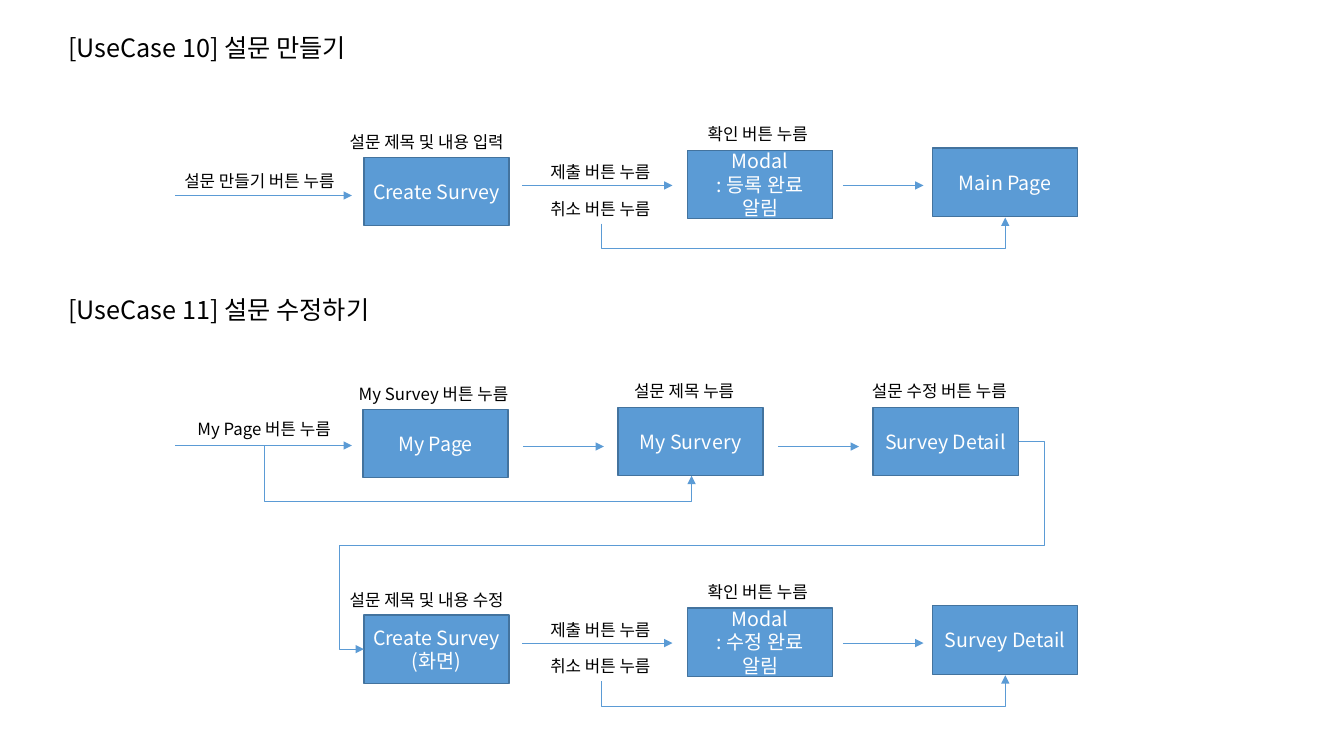
from lxml import etree
from pptx import Presentation
from pptx.dml.color import RGBColor
from pptx.enum.shapes import MSO_CONNECTOR, MSO_SHAPE
from pptx.enum.text import MSO_ANCHOR, MSO_AUTO_SIZE, PP_ALIGN
from pptx.oxml.ns import qn
from pptx.util import Inches, Pt

STRAIGHT, ELBOW = MSO_CONNECTOR.STRAIGHT, MSO_CONNECTOR.ELBOW
RECTANGLE = MSO_SHAPE.RECTANGLE
MIDDLE = MSO_ANCHOR.MIDDLE
FIT_SHAPE = MSO_AUTO_SIZE.SHAPE_TO_FIT_TEXT
LEFT, CENTER = PP_ALIGN.LEFT, PP_ALIGN.CENTER
FONT = "Noto Sans CJK KR"
BLUE, DARK_BLUE, BLACK, WHITE = "5B9BD5", "43739E", "000000", "FFFFFF"
PAGE_WIDTH, PAGE_HEIGHT = 1.44, 0.68
LABEL_HEIGHT = 0.3


def color(value):
    """Turn a hex string into a colour."""
    return RGBColor.from_string(value)


def write(frame, lines, size, text_color, alignment):
    """Fill a text frame with one paragraph per line."""
    frame.text = "\n".join(lines)
    for paragraph in frame.paragraphs:
        paragraph.alignment = alignment
        font = paragraph.font
        font.size = Pt(size)
        font.name = FONT
        font.color.rgb = color(text_color)
        latin = paragraph._p.pPr.find(".//" + qn("a:latin"))
        east_asian = etree.Element(qn("a:ea"), typeface=FONT)
        latin.addnext(east_asian)


def add_label(shapes, left, top, width, text, alignment=LEFT, size=12,
              height=LABEL_HEIGHT, wrap=False):
    """Add a plain text label."""
    box = shapes.add_textbox(Inches(left), Inches(top), Inches(width), Inches(height))
    write(box.text_frame, [text], size, BLACK, alignment)
    box.text_frame.word_wrap = wrap
    box.text_frame.auto_size = FIT_SHAPE


def add_page(shapes, left, top, *lines, wrap=False):
    """Add a blue box that stands for a page."""
    page = shapes.add_shape(RECTANGLE, Inches(left), Inches(top),
                            Inches(PAGE_WIDTH), Inches(PAGE_HEIGHT))
    page.shadow.inherit = False
    page.fill.solid()
    page.fill.fore_color.rgb = color(BLUE)
    page.line.color.rgb = color(DARK_BLUE)
    page.line.width = Pt(1)
    frame = page.text_frame
    write(frame, lines, 14, WHITE, CENTER)
    frame.vertical_anchor = MIDDLE
    frame.word_wrap = wrap


def add_arrow(shapes, kind, start_x, start_y, end_x, end_y):
    """Add a thin blue arrow and return it."""
    arrow = shapes.add_connector(kind, Inches(start_x), Inches(start_y),
                                 Inches(end_x), Inches(end_y))
    arrow.line.color.rgb = color(BLUE)
    arrow.line.width = Pt(0.5)
    etree.SubElement(arrow.line._get_or_add_ln(), qn("a:tailEnd"), type="triangle")
    etree.SubElement(arrow._element.spPr, qn("a:effectLst"))
    return arrow


def add_straight(shapes, left, y, right):
    """Add a level arrow."""
    add_arrow(shapes, STRAIGHT, left, y, right, y)


def set_bends(arrow, preset, bends):
    """Set the elbow type of an arrow and its bends as fractions of its span."""
    geometry = arrow._element.spPr.find(qn("a:prstGeom"))
    geometry.set("prst", preset)
    guides = geometry.get_or_add_avLst()
    for number, bend in enumerate(bends, 1):
        etree.SubElement(guides, qn("a:gd"), name=f"adj{number}",
                         fmla=f"val {round(bend * 100000)}")


def add_detour(shapes, start_x, start_y, end_x, end_y, floor):
    """Add an arrow that drops to a floor, runs right and rises to its end."""
    half_width, half_height = abs(end_y - start_y) / 2, (end_x - start_x) / 2
    center_x, center_y = (start_x + end_x) / 2, (start_y + end_y) / 2
    arrow = add_arrow(shapes, ELBOW, center_x - half_width, center_y - half_height,
                      center_x + half_width, center_y + half_height)
    rising = end_y < start_y
    transform = arrow._element.spPr.find(qn("a:xfrm"))
    transform.set("rot", str((90 if rising else 270) * 60000))
    transform.set("flipH", "1")
    if rising:
        transform.set("flipV", "1")
    set_bends(arrow, "bentConnector3", [(floor - start_y) / (end_y - start_y)])


def add_submit_flow(shapes, left, top, caption, form_lines, notice, last_page):
    """Add the row of form, notice and last page, with its cancel detour."""
    add_label(shapes, left, top + 0.08, 2.06, caption, wrap=True)
    add_page(shapes, left + 0.24, top + 0.38, *form_lines)
    add_label(shapes, left + 1.92, top + 0.38, 1.33, "제출 버튼 누름", CENTER)
    add_label(shapes, left + 1.92, top + 0.74, 1.33, "취소 버튼 누름", CENTER)
    add_straight(shapes, left + 1.81, top + 0.66, left + 3.3)
    add_label(shapes, left + 3.55, top, 1.33, "확인 버튼 누름")
    add_page(shapes, left + 3.45, top + 0.31, "Modal", notice, wrap=True)
    add_straight(shapes, left + 4.99, top + 0.66, left + 5.79)
    add_page(shapes, left + 5.88, top + 0.29, last_page)
    add_detour(shapes, left + 2.59, top + 1.04, left + 6.6, top + 0.98, top + 1.29)


def add_my_page_flow(shapes, left, top):
    """Add the row that leads from my page to the survey detail."""
    add_straight(shapes, left, top + 0.69, left + 1.75)
    add_label(shapes, left + 0.05, top + 0.38, 1.66, "My Page 버튼 누름", CENTER)
    add_label(shapes, left + 1.72, top + 0.03, 2.06, "My Survey 버튼 누름", wrap=True)
    add_page(shapes, left + 1.86, top + 0.33, "My Page")
    add_label(shapes, left + 4.45, top, 1.33, "설문 제목 누름")
    add_label(shapes, left + 6.81, top, 1.73, "설문 수정 버튼 누름")
    for offset, name in ((4.39, "My Survery"), (6.92, "Survey Detail")):
        add_straight(shapes, left + offset - 0.94, top + 0.7, left + offset - 0.14)
        add_page(shapes, left + offset, top + 0.31, name)
    add_detour(shapes, left + 0.88, top + 0.69, left + 5.12, top + 0.99, top + 1.24)


def add_use_case_10(shapes, left, top):
    """Add the use case of making a survey."""
    add_label(shapes, left, top, 3.04, "[UseCase 10] 설문 만들기", size=18, height=0.4)
    add_straight(shapes, left + 1.16, top + 1.67, left + 2.91)
    add_label(shapes, left + 1.15, top + 1.37, 1.9, "설문 만들기 버튼 누름")
    add_submit_flow(shapes, left + 2.79, top + 0.91, "설문 제목 및 내용 입력",
                    ["Create Survey"], ": 등록 완료 알림", "Main Page")


def add_use_case_11(shapes, left, top):
    """Add the use case of editing a survey."""
    add_label(shapes, left, top, 3.26, "[UseCase 11] 설문 수정하기", size=18, height=0.4)
    add_my_page_flow(shapes, left + 1.16, top + 0.86)
    add_submit_flow(shapes, left + 2.79, top + 2.85, "설문 제목 및 내용 수정",
                    ["Create Survey", "(화면)"], ": 수정 완료 알림", "Survey Detail")
    return_arrow = add_arrow(shapes, ELBOW, left + 9.53, top + 1.51,
                             left + 3.03, top + 3.57)
    set_bends(return_arrow, "bentConnector5", [-0.038, 0.5, 1.038])


def main():
    """Build the slide and save it."""
    presentation = Presentation()
    presentation.slide_width = Inches(13.33)
    presentation.slide_height = Inches(7.5)
    slide = presentation.slides.add_slide(presentation.slide_layouts[6])
    add_use_case_10(slide.shapes, 0.58, 0.27)
    add_use_case_11(slide.shapes, 0.58, 2.87)
    presentation.save("out.pptx")


if __name__ == "__main__":
    main()
